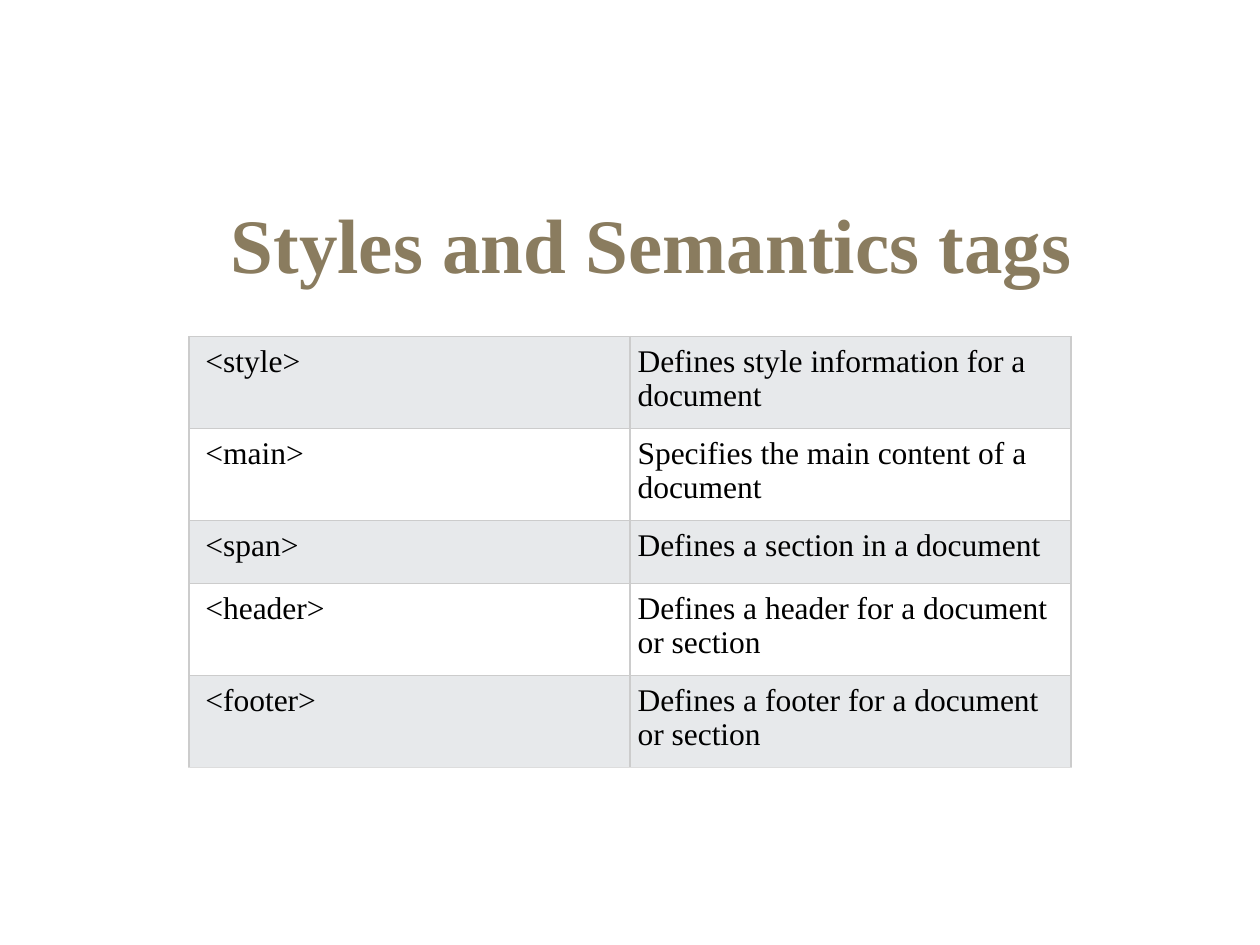
from lxml import etree
from pptx import Presentation
from pptx.dml.color import RGBColor
from pptx.enum.text import MSO_ANCHOR, PP_ALIGN
from pptx.oxml.ns import qn
from pptx.util import Inches, Pt

BOTTOM = MSO_ANCHOR.BOTTOM
CENTER, LEFT = PP_ALIGN.CENTER, PP_ALIGN.LEFT

WIDTH, HEIGHT = 10, 7.5
FONT = "Times New Roman"
COLORS = {
    "title": "8A7C5F",
    "text": "000000",
    "band": "E7E9EB",
    "plain": "FFFFFF",
    "border": "CCCCCC",
    "last_border": "DDDDDD",
}
TAGS = [
    ("<style>", "Defines style information for a document"),
    ("<main>", "Specifies the main content of a document"),
    ("<span>", "Defines a section in a document"),
    ("<header>", "Defines a header for a document or section"),
    ("<footer>", "Defines a footer for a document or section"),
]
ROW_HEIGHTS = [0.73, 0.73, 0.5, 0.73, 0.73]


def write(tf, text, size=18, color="text", bold=False, align=LEFT):
    tf.word_wrap = True
    p = tf.paragraphs[0]
    p.alignment = align
    r = p.add_run()
    r.text = text
    r.font.name = FONT
    r.font.size = Pt(size)
    r.font.bold = bold
    r.font.color.rgb = RGBColor.from_string(COLORS[color])


def set_borders(cell, bottom):
    tc_pr = cell._tc.get_or_add_tcPr()
    for side in "LRTB":
        ln = etree.SubElement(tc_pr, qn(f"a:ln{side}"), w=str(Pt(0.75)))
        fill = etree.SubElement(ln, qn("a:solidFill"))
        color = bottom if side == "B" else "border"
        etree.SubElement(fill, qn("a:srgbClr"), val=COLORS[color])


class Deck:
    """Places elements on the current slide by shares of its size."""

    def __init__(self):
        self.prs = Presentation()
        self.prs.slide_width = Inches(WIDTH)
        self.prs.slide_height = Inches(HEIGHT)
        self.s = self.prs.slides.add_slide(self.prs.slide_layouts[6])

    def box(self, x, y, w, h):
        """Turn shares of the slide into lengths."""
        return (Inches(x * WIDTH), Inches(y * HEIGHT),
                Inches(w * WIDTH), Inches(h * HEIGHT))

    def title(self, text, x, y, w, h):
        tf = self.s.shapes.add_textbox(*self.box(x, y, w, h)).text_frame
        tf.vertical_anchor = BOTTOM
        write(tf, text, size=44, color="title", bold=True, align=CENTER)

    def table(self, rows, heights, x, y, w):
        frame = self.s.shapes.add_table(
            len(rows), len(rows[0]),
            *self.box(x, y, w, sum(heights) / HEIGHT))
        table = frame.table
        for i, (row, height) in enumerate(zip(rows, heights)):
            table.rows[i].height = Inches(height)
            bottom = "last_border" if i == len(rows) - 1 else "border"
            for j, text in enumerate(row):
                self.cell(table.cell(i, j), text, bottom,
                          fill="plain" if i % 2 else "band",
                          indent=0.06 if j else 0.13)

    def cell(self, cell, text, bottom, fill, indent):
        cell.margin_left = Inches(indent)
        cell.margin_right = cell.margin_top = cell.margin_bottom = Inches(0.06)
        set_borders(cell, bottom)
        cell.fill.solid()
        cell.fill.fore_color.rgb = RGBColor.from_string(COLORS[fill])
        write(cell.text_frame, text)


def main():
    deck = Deck()
    deck.table(TAGS, ROW_HEIGHTS, x=0.15, y=0.356, w=0.7)
    deck.title("Styles and Semantics tags", x=0.117, y=0.2, w=0.8, h=0.112)
    deck.prs.save("out.pptx")


if __name__ == "__main__":
    main()
